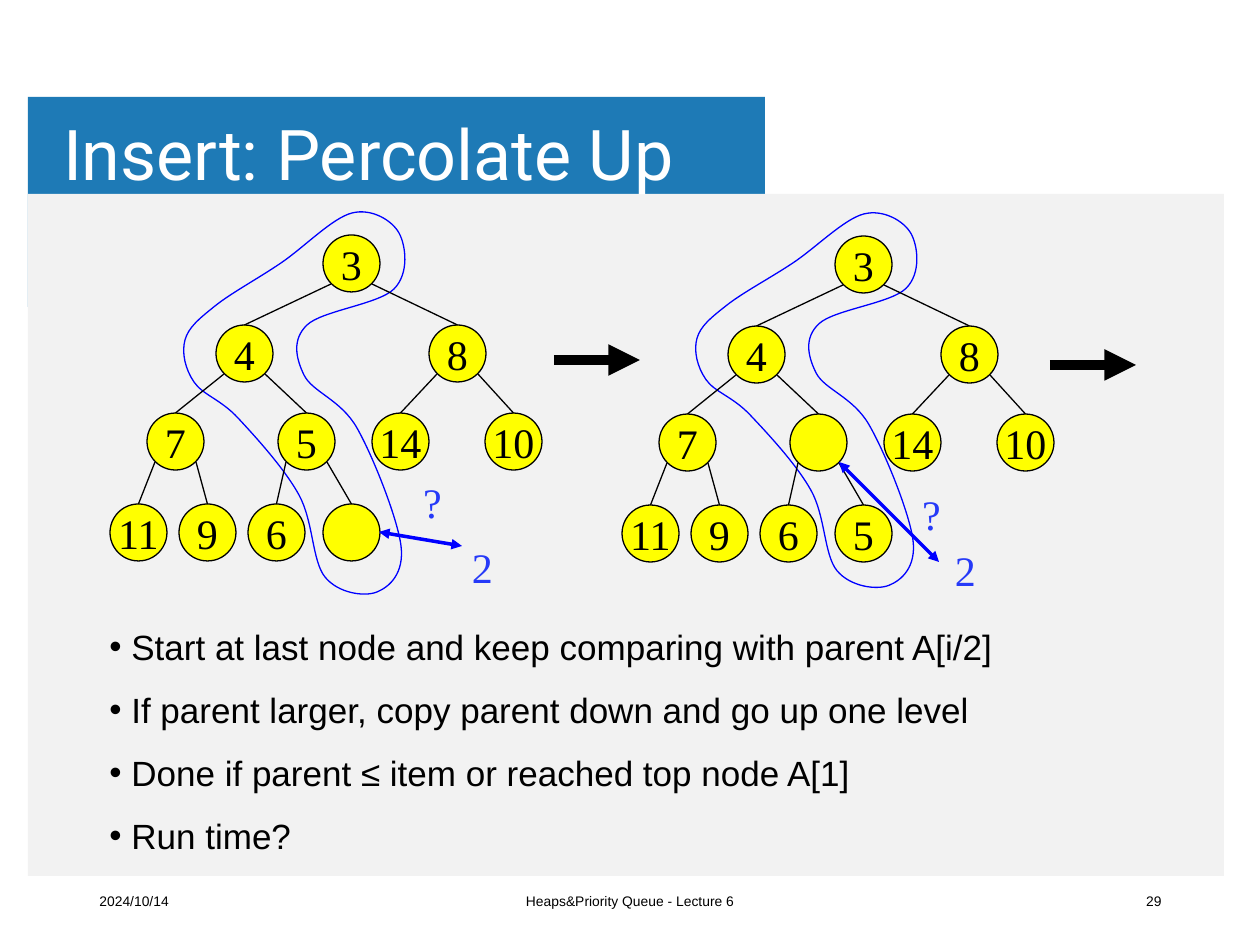
from lxml.etree import SubElement
from pptx import Presentation
from pptx.dml.color import RGBColor
from pptx.enum.shapes import MSO_CONNECTOR, MSO_SHAPE
from pptx.enum.text import MSO_ANCHOR as Anchor, MSO_AUTO_SIZE as AutoSize, PP_ALIGN as Align
from pptx.oxml.ns import qn
from pptx.util import Emu, Pt

WHITE = RGBColor(0xFF, 0xFF, 0xFF)
BLACK = RGBColor(0, 0, 0)
BANNER_BLUE = RGBColor(0x1E, 0x7A, 0xB6)
PANEL_GREY = RGBColor(0xF2, 0xF2, 0xF2)
NODE_YELLOW = RGBColor(0xFF, 0xFF, 0)
PATH_BLUE = RGBColor(0, 0, 0xFF)
LABEL_BLUE = RGBColor(0x26, 0x3A, 0xF8)

NODE_SIZE = 57

# Top left corner of each heap node, in array order
NODE_SPOTS = [(323, 235), (216, 325), (429, 325),
              (147, 413), (278, 413), (372, 413), (485, 413),
              (110, 504), (179, 504), (248, 504), (323, 504)]

# Points that the closed curve around the insertion path passes through
LOOP_POINTS = [(399, 233), (352, 213), (281, 263), (215, 306), (185, 340),
               (194, 382), (238, 418), (299, 495), (325, 577), (377, 592),
               (401, 546), (357, 428), (304, 375), (307, 325), (394, 289)]

BULLETS = ["Start at last node and keep comparing with parent A[i/2]",
           "If parent larger, copy parent down and go up one level",
           "Done if parent ≤ item or reached top node A[1]",
           "Run time?"]


def px(length):
    return Emu(round(length * 914400 / 126))


def bezier_ring(points):
    """Two handles and an end point for each span of a smooth closed curve."""
    count = len(points)
    ring = []
    for i in range(count):
        before, start, end, after = (points[(i + k) % count] for k in (-1, 0, 1, 2))
        ring.append([s + (e - b) / 6 for b, s, e in zip(before, start, end)])
        ring.append([e - (a - s) / 6 for s, e, a in zip(start, end, after)])
        ring.append(end)
    return ring


class Deck:
    body_font = "Arial"
    title_font = "Roboto"
    node_font = "Times New Roman"

    def __init__(self):
        self.prs = Presentation()
        self.prs.slide_width, self.prs.slide_height = px(1260), px(945)
        self.slide = self.prs.slides.add_slide(self.prs.slide_layouts[5])
        self.shapes = self.slide.shapes

    def style(self, paragraph, font, size, color, align=Align.LEFT):
        paragraph.alignment = align
        for run in paragraph.runs:
            run.font.name, run.font.size = font, Pt(size)
            run.font.color.rgb = color

    def panel(self, x, y, w, h, color):
        panel = self.shapes.add_shape(MSO_SHAPE.RECTANGLE, px(x), px(y), px(w), px(h))
        panel.shadow.inherit = False
        panel.fill.solid()
        panel.fill.fore_color.rgb = color
        panel.line.fill.background()

    def title(self, text, x, y, w, h):
        title = self.shapes.title
        title.left, title.top, title.width, title.height = px(x), px(y), px(w), px(h)
        frame = title.text_frame
        frame.text = text
        frame.auto_size = AutoSize.NONE
        frame.vertical_anchor = Anchor.MIDDLE
        frame.margin_left = frame.margin_right = px(9)
        frame.margin_top = frame.margin_bottom = px(5)
        frame.paragraphs[0].line_spacing = 0.9
        self.style(frame.paragraphs[0], self.title_font, 40, WHITE)
        # Bring the title in front of the panels
        title._element.getparent().append(title._element)

    def footer(self, text, x, w, align):
        frame = self.shapes.add_textbox(px(x), px(876), px(w), px(50)).text_frame
        frame.word_wrap = True
        frame.vertical_anchor = Anchor.MIDDLE
        frame.text = text
        self.style(frame.paragraphs[0], self.body_font, 7.9, BLACK, align)

    def bullets(self, lines, x, y, w, h):
        frame = self.shapes.add_textbox(px(x), px(y), px(w), px(h)).text_frame
        frame.word_wrap = True
        frame.auto_size = AutoSize.SHAPE_TO_FIT_TEXT
        frame.text = "\n".join(lines)
        for paragraph in frame.paragraphs:
            props = paragraph._p.get_or_add_pPr()
            props.set("marL", str(px(22)))
            props.set("indent", str(-px(22)))
            SubElement(props, qn("a:buFont")).set("typeface", self.body_font)
            SubElement(props, qn("a:buChar")).set("char", "•")
            paragraph.line_spacing = 1.5
            self.style(paragraph, self.body_font, 20, BLACK)

    def circle(self, text, x, y, color=BLACK, filled=True):
        circle = self.shapes.add_shape(MSO_SHAPE.OVAL, px(x), px(y),
                                       px(NODE_SIZE), px(NODE_SIZE))
        circle.shadow.inherit = False
        if filled:
            circle.fill.solid()
            circle.fill.fore_color.rgb = NODE_YELLOW
            circle.line.color.rgb = BLACK
            circle.line.width = Pt(0.75)
        else:
            circle.fill.background()
            circle.line.fill.background()
        if text:
            frame = circle.text_frame
            frame.word_wrap = False
            frame.vertical_anchor = Anchor.MIDDLE
            frame.text = text
            self.style(frame.paragraphs[0], self.node_font, 24, color, Align.CENTER)
        return circle

    def line(self, start, end, color=BLACK, width=0.75, arrows=()):
        line = self.shapes.add_connector(MSO_CONNECTOR.STRAIGHT,
                                         *map(px, start), *map(px, end))
        line.line.color.rgb = color
        line.line.width = Pt(width)
        props = line._element.spPr
        for arrow in arrows:
            SubElement(props.find(qn("a:ln")), qn(f"a:{arrow}")).set("type", "triangle")
        SubElement(props, qn("a:effectLst"))
        return line

    def loop(self, points):
        builder = self.shapes.build_freeform(*map(px, points[0]))
        builder.add_line_segments([(px(x), px(y)) for x, y in bezier_ring(points)],
                                  close=True)
        loop = builder.convert_to_shape()
        # Join every three straight segments into one Bézier span
        segments = list(loop._element.iter(qn("a:lnTo")))
        for i in range(0, len(segments), 3):
            span = segments[i]
            span.tag = qn("a:cubicBezTo")
            for segment in segments[i + 1:i + 3]:
                span.append(segment[0])
                segment.getparent().remove(segment)
        loop.shadow.inherit = False
        loop.fill.background()
        loop.line.color.rgb = PATH_BLUE
        loop.line.width = Pt(0.75)

    def heap(self, values, dx, dy, loop_stretch):
        top = min(y for _, y in LOOP_POINTS)
        self.loop([(x + dx, top + dy + (y - top) * loop_stretch) for x, y in LOOP_POINTS])
        spots = [(x + dx, y + dy) for x, y in NODE_SPOTS]
        nodes = [self.circle(value, *spot) for value, spot in zip(values, spots)]
        for child in range(1, len(nodes)):
            parent_x, parent_y = spots[(child - 1) // 2]
            x, y = spots[child]
            side = 8 if child % 2 else NODE_SIZE - 8
            edge = self.line((parent_x + side, parent_y + NODE_SIZE - 8),
                             (x + NODE_SIZE / 2, y))
            edge.end_connect(nodes[child], 0)

    def comparison(self, start, end, item_spot, question_spot):
        self.line(start, end, PATH_BLUE, 2, ("headEnd", "tailEnd"))
        self.circle("2", *item_spot, LABEL_BLUE, filled=False)
        self.circle("?", *question_spot, LABEL_BLUE, filled=False)


def main():
    deck = Deck()

    # Banner, content panel and title
    deck.panel(28, 97, 737, 210, BANNER_BLUE)
    deck.panel(28, 194, 1196, 682, PANEL_GREY)
    deck.title("Insert: Percolate Up", 54, 96, 1012, 123)

    # Footer line
    deck.footer("2024/10/14", 87, 284, Align.LEFT)
    deck.footer("Heaps&Priority Queue - Lecture 6", 417, 426, Align.CENTER)
    deck.footer("29", 890, 284, Align.RIGHT)

    # Explanation
    deck.bullets(BULLETS, 97, 598, 1087, 267)

    # Heap with the hole at the last node
    deck.heap(["3", "4", "8", "7", "5", "14", "10", "11", "9", "6", ""], 0, 0, 1)
    deck.comparison((462, 546), (379, 532), (454, 538), (404, 473))

    # Heap with the hole moved up one level
    deck.heap(["3", "4", "8", "7", "", "14", "10", "11", "9", "6", "5"], 512, 1, 0.98)
    deck.comparison((839, 462), (939, 562), (937, 541), (903, 485))

    # Step arrows
    for x, y in ((554, 360), (1050, 365)):
        deck.line((x, y), (x + 86, y), width=6, arrows=("tailEnd",))

    deck.prs.save("out.pptx")


if __name__ == "__main__":
    main()
